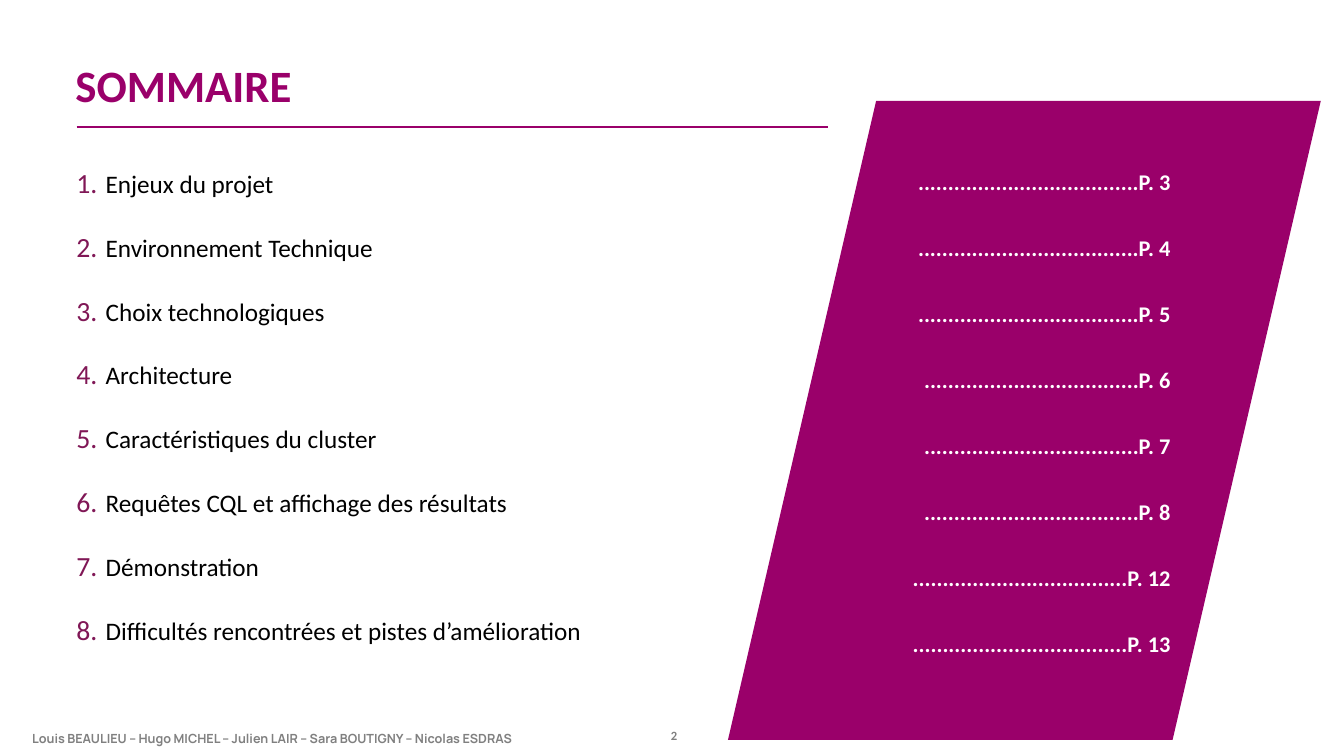
from dataclasses import dataclass

from lxml.etree import SubElement
from pptx import Presentation
from pptx.dml.color import RGBColor
from pptx.enum.shapes import MSO_CONNECTOR as Connector, MSO_SHAPE as Shape
from pptx.enum.text import MSO_ANCHOR as Anchor, PP_ALIGN as Align
from pptx.oxml.ns import qn
from pptx.util import Inches, Pt

COLORS = {
    "brand": "9A006A",
    "number": "801756",
    "text": "000000",
    "footer": "808080",
    "page": "FFFFFF",
}


@dataclass(frozen=True)
class Chapter:
    title: str
    page: int
    dots: int = 36

    @property
    def page_label(self) -> str:
        return "." * self.dots + f"P. {self.page}"


@dataclass(frozen=True)
class Box:
    left: float
    top: float
    width: float
    height: float

    def lengths(self) -> list[Inches]:
        return [Inches(value) for value in (self.left, self.top, self.width, self.height)]


CHAPTERS = [
    Chapter("Enjeux du projet", 3, dots=37),
    Chapter("Environnement Technique", 4, dots=37),
    Chapter("Choix technologiques", 5, dots=37),
    Chapter("Architecture", 6),
    Chapter("Caractéristiques du cluster", 7),
    Chapter("Requêtes CQL et affichage des résultats", 8),
    Chapter("Démonstration", 12),
    Chapter("Difficultés rencontrées et pistes d’amélioration", 13),
]
AUTHORS = "Louis BEAULIEU – Hugo MICHEL – Julien LAIR – Sara BOUTIGNY – Nicolas ESDRAS"


def color(name: str) -> RGBColor:
    return RGBColor.from_string(COLORS[name])


def number_paragraph(paragraph) -> None:
    properties = paragraph._p.get_or_add_pPr()
    indent = Inches(0.29)
    properties.set("marL", str(indent))
    properties.set("indent", str(-indent))
    bullet_color = SubElement(properties, qn("a:buClr"))
    SubElement(bullet_color, qn("a:srgbClr"), val=COLORS["number"])
    SubElement(properties, qn("a:buSzPct"), val="110000")
    SubElement(properties, qn("a:buFont"), typeface="+mj-lt")
    SubElement(properties, qn("a:buAutoNum"), type="arabicPeriod")


def add_text(slide, box: Box, *lines: str, size: int, ink: str, font: str = "Calibri",
             bold: bool = True, align: Align = Align.LEFT, anchor: Anchor = Anchor.TOP,
             before: int = 0, after: int = 0, numbered: bool = False) -> None:
    frame = slide.shapes.add_textbox(*box.lengths()).text_frame
    frame.word_wrap = True
    frame.vertical_anchor = anchor
    for index, line in enumerate(lines):
        paragraph = frame.add_paragraph() if index else frame.paragraphs[0]
        paragraph.alignment = align
        paragraph.space_before = Pt(before)
        paragraph.space_after = Pt(after)
        if numbered:
            number_paragraph(paragraph)
        run = paragraph.add_run()
        run.text = line
        run.font.name = font
        run.font.size = Pt(size)
        run.font.bold = bold
        run.font.color.rgb = color(ink)


def add_title_rule(slide, left: float, right: float, top: float) -> None:
    rule = slide.shapes.add_connector(
        Connector.STRAIGHT, Inches(left), Inches(top), Inches(right), Inches(top))
    rule.line.color.rgb = color("brand")
    rule.line.width = Pt(1.5)
    SubElement(rule._element.spPr, qn("a:effectLst"))


def add_page_panel(slide, box: Box) -> None:
    panel = slide.shapes.add_shape(Shape.PARALLELOGRAM, *box.lengths())
    panel.shadow.inherit = False
    panel.fill.solid()
    panel.fill.fore_color.rgb = color("brand")
    panel.line.fill.background()


def main() -> None:
    presentation = Presentation()
    presentation.slide_width = Inches(13.33)
    presentation.slide_height = Inches(7.5)
    slide = presentation.slides.add_slide(presentation.slide_layouts[6])

    add_text(slide, Box(0.22, 7.13, 5.21, 0.4), AUTHORS,
             size=9, ink="footer", font="Manrope", anchor=Anchor.MIDDLE)
    add_text(slide, Box(6.38, 7.1, 0.61, 0.4), "2",
             size=9, ink="footer", align=Align.CENTER, anchor=Anchor.MIDDLE)
    add_text(slide, Box(0.66, 1.62, 6.87, 5.2), *[chapter.title for chapter in CHAPTERS],
             size=18, ink="text", bold=False, before=12, after=12, numbered=True)
    add_text(slide, Box(0.65, 0.52, 2.55, 0.86), "SOMMAIRE", size=32, ink="brand")
    add_title_rule(slide, left=0.76, right=8.21, top=1.26)
    add_page_panel(slide, Box(7.22, 1, 5.88, 6.34))
    add_text(slide, Box(8.48, 1.62, 3.23, 5.2), *[chapter.page_label for chapter in CHAPTERS],
             size=16, ink="page", align=Align.RIGHT, before=16, after=12)

    presentation.save("out.pptx")


if __name__ == "__main__":
    main()
